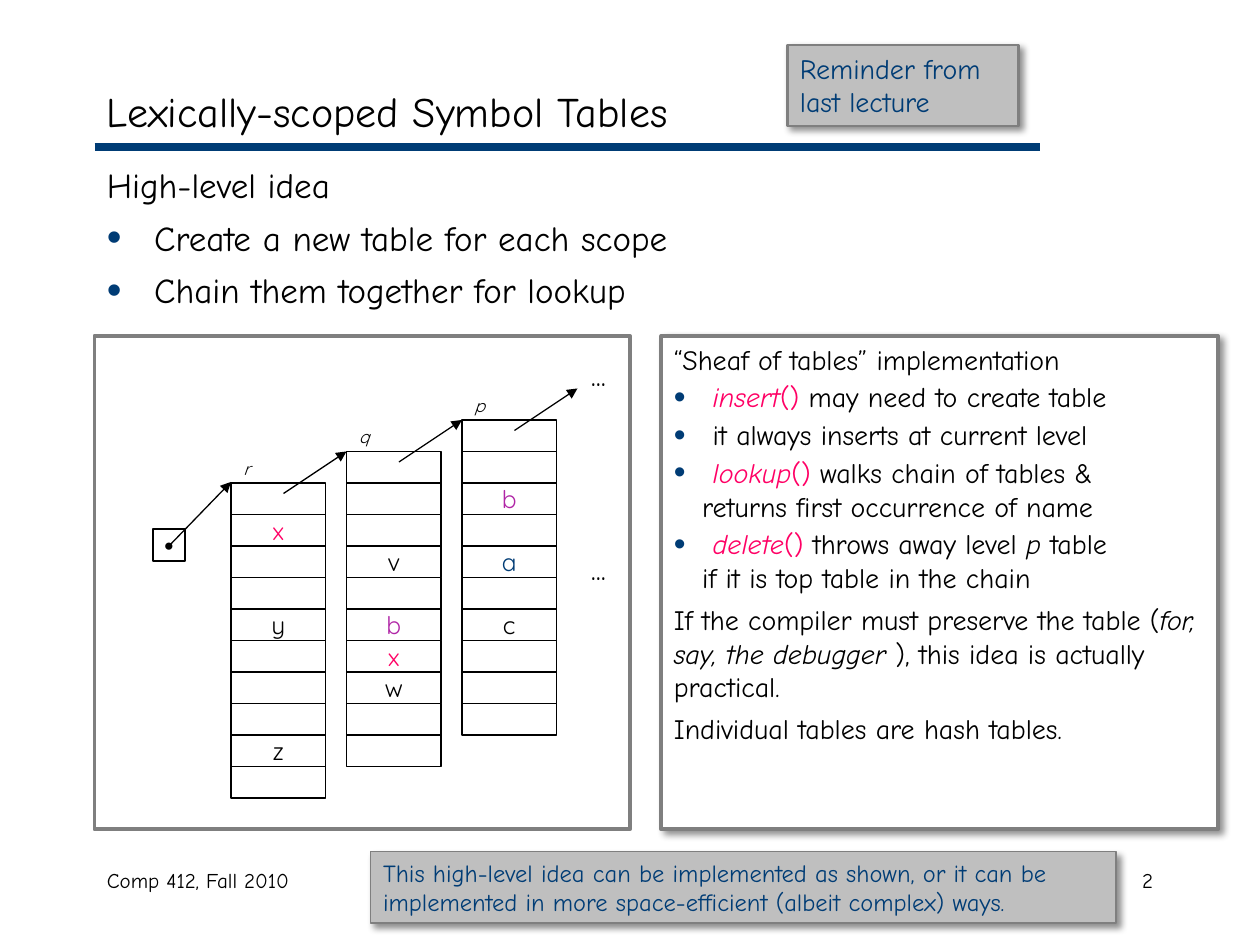
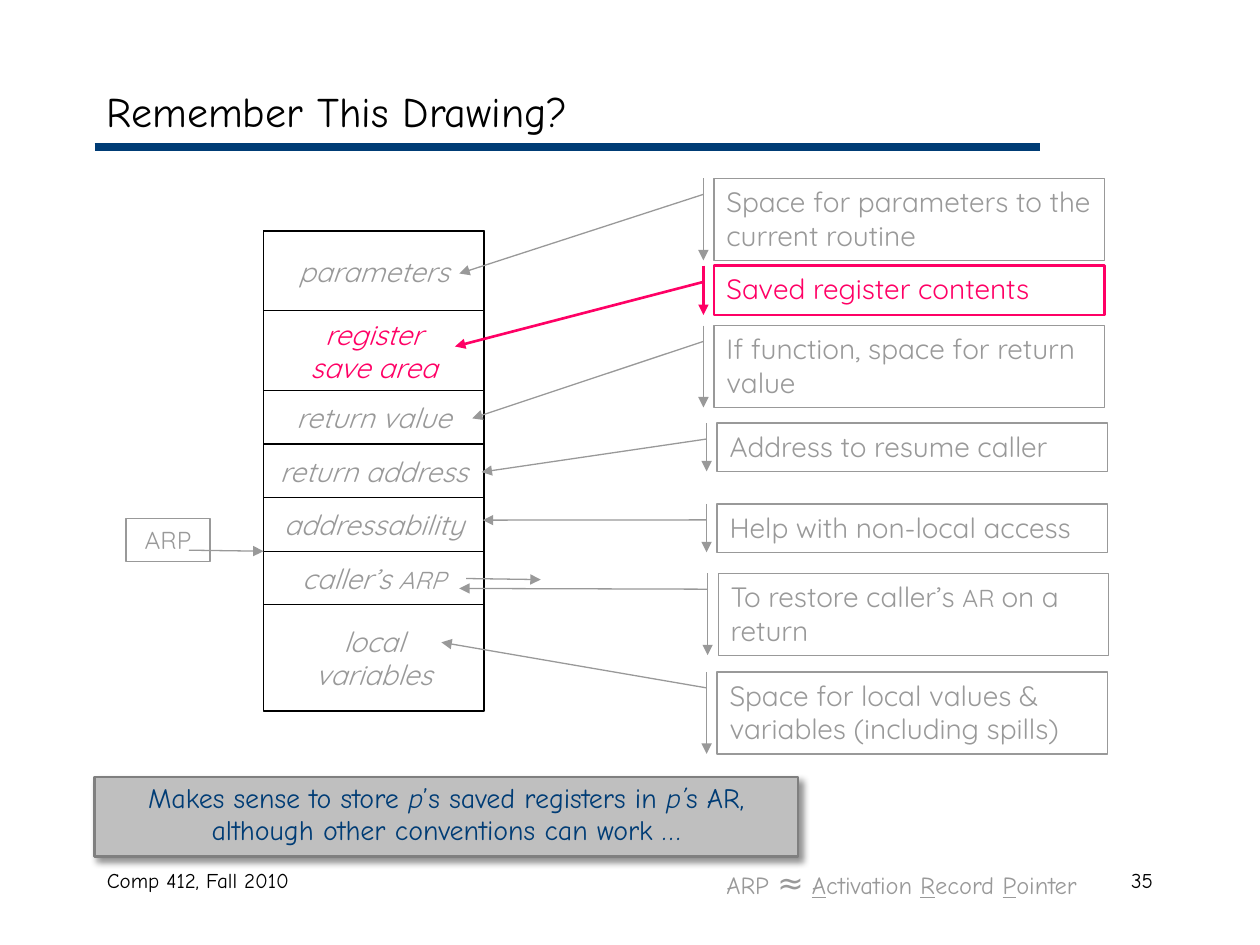
import itertools
from dataclasses import dataclass
from typing import Optional

import pptx
import pptx.dml.color
import pptx.enum.shapes
import pptx.enum.text
import pptx.oxml.ns
import pptx.util
from lxml import etree

EMU_PER_PX = 7620  # 120 px to the inch
RECTANGLE = pptx.enum.shapes.MSO_SHAPE.RECTANGLE
CALLOUT = pptx.enum.shapes.MSO_SHAPE.LINE_CALLOUT_1_BORDER_AND_ACCENT_BAR
ALIGN = pptx.enum.text.PP_ALIGN
qn = pptx.oxml.ns.qn


@dataclass(frozen=True)
class Theme:
    black: str = "000000"
    white: str = "FFFFFF"
    navy: str = "003C75"
    pink: str = "FF0065"
    purple: str = "B025A6"
    faded: str = "999999"
    note_fill: str = "BFBFBF"
    border: str = "7F7F7F"
    text_font: str = "Comic Neue"
    figure_font: str = "Quicksand"
    title: float = 24
    body: float = 20
    text: float = 16
    small: float = 14
    footer: float = 12
    label: float = 10


THEME = Theme()


@dataclass(frozen=True)
class Box:
    left: int
    top: int
    width: int
    height: int


@dataclass(frozen=True)
class Style:
    size: float = THEME.text
    color: str = THEME.black
    font: str = THEME.text_font
    align: Optional[ALIGN] = None
    italic: bool = False
    middle: bool = False
    wrap: bool = True
    line_spacing: Optional[float] = None


@dataclass(frozen=True)
class Run:
    text: str
    italic: Optional[bool] = None
    color: Optional[str] = None
    size: Optional[float] = None
    underline: bool = False


@dataclass(frozen=True)
class Paragraph:
    runs: tuple[Run, ...]
    before: float = 0
    margin: int = 0
    hanging: int = 0
    bullet: bool = False


@dataclass(frozen=True)
class ScopeTable:
    name: str
    left: int
    top: int
    entries: dict[int, tuple[str, str]]


@dataclass(frozen=True)
class Callout:
    box: Box
    adjustments: tuple[float, float, float, float]
    lines: tuple[tuple[Run, ...], ...]
    color: str = THEME.faded
    weight: float = 0.75


def px(length: int) -> pptx.util.Emu:
    return pptx.util.Emu(length * EMU_PER_PX)


def rgb(color: str) -> pptx.dml.color.RGBColor:
    return pptx.dml.color.RGBColor.from_string(color)


def plain(*lines: str) -> list[Paragraph]:
    return [Paragraph((Run(line),)) for line in lines]


# Drawing helpers
def add_bullet(paragraph, item: Paragraph) -> None:
    properties = paragraph._p.get_or_add_pPr()
    properties.set("marL", str(px(item.margin)))
    properties.set("indent", str(-px(item.hanging)))
    if item.bullet:
        color = etree.SubElement(properties, qn("a:buClr"))
        etree.SubElement(color, qn("a:srgbClr"), val=THEME.navy)
        etree.SubElement(properties, qn("a:buSzPct"), val="120000")
        etree.SubElement(properties, qn("a:buFont"), typeface="Arial")
        etree.SubElement(properties, qn("a:buChar"), char="•")


def write(shape, paragraphs: list[Paragraph], style: Style) -> None:
    frame = shape.text_frame
    frame.word_wrap = style.wrap
    anchors = pptx.enum.text.MSO_ANCHOR
    frame.vertical_anchor = anchors.MIDDLE if style.middle else anchors.TOP
    for index, item in enumerate(paragraphs):
        paragraph = frame.add_paragraph() if index else frame.paragraphs[0]
        add_bullet(paragraph, item)
        paragraph.alignment = style.align or ALIGN.LEFT
        paragraph.space_before = pptx.util.Pt(item.before)
        if style.line_spacing:
            paragraph.line_spacing = style.line_spacing
        for part in item.runs:
            run = paragraph.add_run()
            run.text = part.text
            run.font.name = style.font
            run.font.size = pptx.util.Pt(part.size or style.size)
            run.font.color.rgb = rgb(part.color or style.color)
            run.font.italic = style.italic if part.italic is None else part.italic
            run.font.underline = part.underline


def add_text(slide, box: Box, paragraphs: list[Paragraph], style: Style) -> None:
    shape = slide.shapes.add_textbox(px(box.left), px(box.top), px(box.width), px(box.height))
    write(shape, paragraphs, style)


def add_box(slide, box: Box, line: str = THEME.black, weight: float = 0.75,
            fill: Optional[str] = None, shadow: bool = False, kind=RECTANGLE):
    shape = slide.shapes.add_shape(kind, px(box.left), px(box.top), px(box.width), px(box.height))
    shape.shadow.inherit = False
    if shadow:
        effects = shape._element.spPr.find(qn("a:effectLst"))
        outer = etree.SubElement(effects, qn("a:outerShdw"), blurRad="50800", dist="38100",
                                 dir="2700000", algn="tl", rotWithShape="0")
        color = etree.SubElement(outer, qn("a:srgbClr"), val=THEME.black)
        etree.SubElement(color, qn("a:alpha"), val="43000")
    if fill:
        shape.fill.solid()
        shape.fill.fore_color.rgb = rgb(fill)
    else:
        shape.fill.background()
    shape.line.color.rgb = rgb(line)
    shape.line.width = pptx.util.Pt(weight)
    return shape


def add_arrowhead(shape) -> None:
    etree.SubElement(shape.line._get_or_add_ln(), qn("a:tailEnd"), type="triangle")


def add_line(slide, start: tuple[int, int], end: tuple[int, int], color: str = THEME.black,
             weight: float = 0.75, arrow: bool = True) -> None:
    line = slide.shapes.add_connector(pptx.enum.shapes.MSO_CONNECTOR.STRAIGHT,
                                      *(px(length) for length in start + end))
    line.line.color.rgb = rgb(color)
    line.line.width = pptx.util.Pt(weight)
    if arrow:
        add_arrowhead(line)
    etree.SubElement(line._element.spPr, qn("a:effectLst"))


def add_note(slide, box: Box, runs: tuple[Run, ...], style: Style, weight: float = 1.5) -> None:
    note = add_box(slide, box, THEME.border, weight, THEME.note_fill, shadow=True)
    write(note, [Paragraph(runs)], style)


def start_slide(presentation, title: str, number: str):
    slide = presentation.slides.add_slide(presentation.slide_layouts[6])
    add_line(slide, (90, 140), (990, 140), THEME.navy, 4.5, arrow=False)
    add_text(slide, Box(90, 820, 380, 60), plain("Comp 412, Fall 2010"), Style(THEME.footer))
    add_text(slide, Box(860, 820, 250, 60), plain(number), Style(THEME.footer, align=ALIGN.RIGHT))
    add_text(slide, Box(90, 70, 1020, 70), plain(title), Style(THEME.title, middle=True))
    return slide


# Slide: chained symbol tables
SCOPE_TABLES = (
    ScopeTable("r", 220, 460, {1: ("x", THEME.pink), 4: ("y", THEME.black), 8: ("z", THEME.black)}),
    ScopeTable("q", 330, 430, {3: ("v", THEME.black), 5: ("b", THEME.purple),
                               6: ("x", THEME.pink), 7: ("w", THEME.black)}),
    ScopeTable("p", 440, 400, {2: ("b", THEME.purple), 4: ("a", THEME.navy), 6: ("c", THEME.black)}),
)
ROWS, ROW_WIDTH, ROW_HEIGHT = 10, 90, 30


def add_scope_table(slide, table: ScopeTable) -> None:
    for row in range(ROWS):
        cell = add_box(slide, Box(table.left, table.top + row * ROW_HEIGHT, ROW_WIDTH, ROW_HEIGHT))
        if row in table.entries:
            text, color = table.entries[row]
            write(cell, plain(text), Style(THEME.small, color, THEME.figure_font,
                                           ALIGN.CENTER, middle=True, wrap=False))
    add_text(slide, Box(table.left, table.top - 30, 70, 32), plain(table.name),
             Style(THEME.label, font=THEME.figure_font, italic=True))
    add_line(slide, (table.left + 50, table.top + 10), (table.left + 110, table.top - 30))


def call(name: str) -> tuple[Run, Run]:
    return Run(name, True, THEME.pink), Run("()", color=THEME.pink)


def item(*runs: Run) -> Paragraph:
    return Paragraph(runs, before=2.4, margin=37, hanging=37, bullet=True)


def continuation(text: str) -> Paragraph:
    return Paragraph((Run(text),), margin=27)


def build_symbol_tables(presentation) -> None:
    slide = start_slide(presentation, "Lexically-scoped Symbol Tables", "2")
    ideas = ("Create a new table for each scope", "Chain them together for lookup")
    add_text(slide, Box(90, 150, 1020, 160), plain("High-level idea") + [
        Paragraph((Run(idea),), 6, 45, 45, True) for idea in ideas], Style(THEME.body))

    sheaf = add_box(slide, Box(630, 320, 530, 470), THEME.border, 2.25, THEME.white, shadow=True)
    write(sheaf, [
        *plain("“Sheaf of tables” implementation"),
        item(*call("insert"), Run(" may need to create table")),
        item(Run("it always inserts at current level")),
        item(*call("lookup"), Run(" walks chain of tables &")),
        continuation("returns first occurrence of name"),
        item(*call("delete"), Run(" throws away level "), Run("p ", True), Run("table")),
        continuation("if it is top table in the chain"),
        Paragraph((Run("If the compiler must preserve the table ("),
                   Run("for, say, the debugger ", True),
                   Run("), this idea is actually practical.")), before=4.8),
        Paragraph((Run("Individual tables are hash tables."),), before=4.8),
    ], Style())

    # Chain of tables
    add_box(slide, Box(90, 320, 510, 470), THEME.border, 2.25, THEME.white)
    for table in SCOPE_TABLES:
        add_scope_table(slide, table)
    pointer = add_box(slide, Box(146, 504, 30, 30), weight=1)
    write(pointer, plain("•"), Style(font=THEME.figure_font, align=ALIGN.CENTER,
                                     middle=True, wrap=False))
    add_line(slide, (160, 521), (220, 459))
    for top in (336, 520):
        add_text(slide, Box(540, top, 60, 44), plain("..."),
                 Style(font=THEME.figure_font, align=ALIGN.CENTER))

    add_note(slide, Box(353, 811, 710, 68), (Run(
        "This high-level idea can be implemented as shown, or it can be implemented "
        "in more space-efficient (albeit complex) ways."),), Style(THEME.small, THEME.navy), 0.75)
    add_note(slide, Box(750, 43, 220, 77), (Run("Reminder from last lecture"),),
             Style(color=THEME.navy))


# Slide: activation record
RECORD_LEFT, RECORD_TOP, RECORD_WIDTH = 251, 220, 210
FIELDS = (
    (76, plain("parameters"), THEME.faded),
    (76, plain("register", "save area"), THEME.pink),
    (51, plain("return value"), THEME.faded),
    (51, plain("return address"), THEME.faded),
    (51, plain("addressability"), THEME.faded),
    (51, [Paragraph((Run("caller’s "), Run("ARP", size=THEME.small)))], THEME.faded),
    (101, plain("local", "variables"), THEME.faded),
)
CALLOUTS = (
    Callout(Box(680, 170, 372, 78), (0.194, -0.027, 1.161, -0.652),
            ((Run("Space for parameters to the current routine"),),)),
    Callout(Box(680, 253, 372, 47), (0.33, -0.027, 1.638, -0.663),
            ((Run("Saved register contents"),),), THEME.pink, 1.5),
    Callout(Box(680, 310, 372, 78), (0.194, -0.027, 1.134, -0.619),
            ((Run("If function, space for return value"),),)),
    Callout(Box(683, 403, 372, 46), (0.33, -0.027, 1.014, -0.603),
            ((Run("Address to resume caller"),),)),
    Callout(Box(683, 480, 372, 46), (0.33, -0.027, 0.335, -0.6),
            ((Run("Help with non-local access"),),)),
    Callout(Box(684, 546, 372, 78), (0.194, -0.027, 0.185, -0.663),
            ((Run("To restore caller’s "), Run("AR ", size=THEME.small), Run("on a")),
             (Run("return"),))),
    Callout(Box(683, 640, 372, 78), (0.194, -0.027, -0.363, -0.706),
            ((Run("Space for local values & variables (including spills)"),),)),
)


def add_callout(slide, callout: Callout) -> None:
    shape = add_box(slide, callout.box, callout.color, callout.weight, kind=CALLOUT)
    for index, value in enumerate(callout.adjustments):
        shape.adjustments[index] = value
    add_arrowhead(shape)
    write(shape, [Paragraph(runs) for runs in callout.lines],
          Style(color=callout.color, font=THEME.figure_font))


def build_activation_record(presentation) -> None:
    slide = start_slide(presentation, "Remember This Drawing?", "35")
    words = (("A", "ctivation "), ("R", "ecord "), ("P", "ointer"))
    expansion = [run for initial, rest in words for run in (Run(initial, underline=True), Run(rest))]
    add_text(slide, Box(680, 816, 400, 48),
             [Paragraph((Run("ARP "), Run("≈", size=18), Run(" "), *expansion))],
             Style(THEME.small, THEME.faded))

    # Record fields, stacked
    heights = [height for height, _, _ in FIELDS]
    add_box(slide, Box(RECORD_LEFT, RECORD_TOP, RECORD_WIDTH, sum(heights)), weight=1)
    tops = itertools.accumulate(heights, initial=RECORD_TOP)
    for top, (height, paragraphs, color) in zip(tops, FIELDS):
        field = add_box(slide, Box(RECORD_LEFT, top, RECORD_WIDTH, height))
        write(field, paragraphs, Style(color=color, font=THEME.figure_font, align=ALIGN.CENTER,
                                       italic=True, middle=True, wrap=False))

    # Record pointer and caller's pointer
    pointer = add_box(slide, Box(120, 494, 80, 41), THEME.faded)
    write(pointer, plain("ARP"), Style(THEME.small, THEME.faded, THEME.figure_font, ALIGN.CENTER))
    add_line(slide, (180, 524), (251, 525), THEME.faded)
    add_line(slide, (444, 551), (515, 552), THEME.faded)

    for callout in CALLOUTS:
        add_callout(slide, callout)
    add_note(slide, Box(90, 740, 670, 76), (
        Run("Makes sense to store "), Run("p", True), Run("’s saved registers in "),
        Run("p’", True), Run("s AR, although other conventions can work …")),
        Style(color=THEME.navy, align=ALIGN.CENTER, line_spacing=0.95))


def main() -> None:
    presentation = pptx.Presentation()
    presentation.slide_width, presentation.slide_height = px(1200), px(900)
    build_symbol_tables(presentation)
    build_activation_record(presentation)
    presentation.save("out.pptx")


if __name__ == "__main__":
    main()
